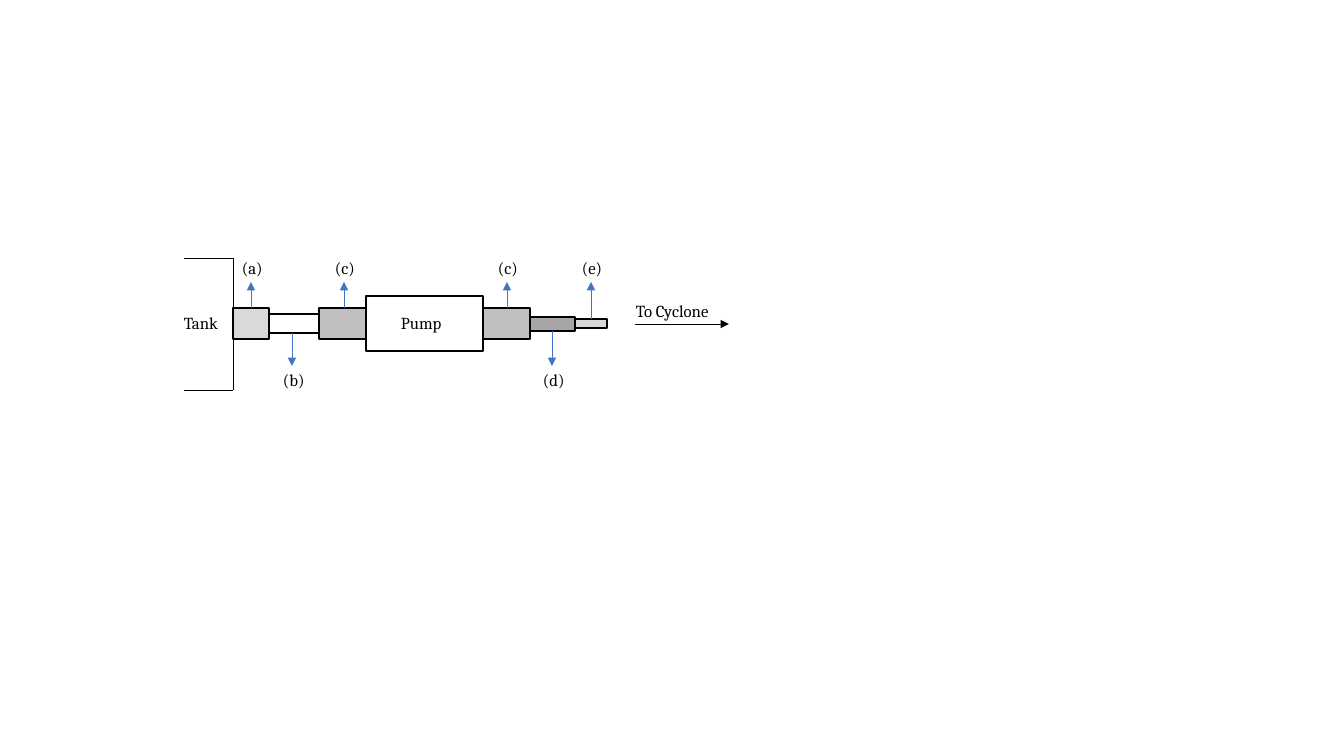
from lxml import etree
from pptx import Presentation
from pptx.dml.color import RGBColor
from pptx.enum import shapes, text
from pptx.oxml import ns
from pptx.util import Pt

BLACK = RGBColor(0x00, 0x00, 0x00)
WHITE = RGBColor(0xFF, 0xFF, 0xFF)
BLUE = RGBColor(0x44, 0x72, 0xC4)
LIGHT_GREY = RGBColor(0xD9, 0xD9, 0xD9)
MID_GREY = RGBColor(0xBF, 0xBF, 0xBF)
DARK_GREY = RGBColor(0xA6, 0xA6, 0xA6)

EMU_PER_PIXEL = 914400 / 100.8
LABEL_WIDTH, LABEL_HEIGHT = 76, 30


def emu(*pixels):
    return [round(pixel * EMU_PER_PIXEL) for pixel in pixels]


def add_line(slide, start, end, color=BLACK, arrow=False):
    connector = slide.shapes.add_connector(
        shapes.MSO_CONNECTOR.STRAIGHT, *emu(*start, *end))
    connector.line.color.rgb = color
    connector.line.width = Pt(0.5)
    properties = connector._element.spPr
    if arrow:
        line = connector.line._get_or_add_ln()
        etree.SubElement(line, ns.qn("a:tailEnd"), type="triangle")
    etree.SubElement(properties, ns.qn("a:effectLst"))


def add_label(slide, left, top, wording, width=LABEL_WIDTH):
    label = slide.shapes.add_textbox(*emu(left, top, width, LABEL_HEIGHT))
    frame = label.text_frame
    frame.word_wrap = True
    frame.auto_size = text.MSO_AUTO_SIZE.SHAPE_TO_FIT_TEXT
    run = frame.paragraphs[0].add_run()
    run.text = wording
    run.font.name = "Cambria"
    run.font.size = Pt(12)
    run.font.color.rgb = BLACK


def add_block(slide, left, top, width, height, fill):
    block = slide.shapes.add_shape(
        shapes.MSO_SHAPE.RECTANGLE, *emu(left, top, width, height))
    block.shadow.inherit = False
    if fill is None:
        block.fill.background()
    else:
        block.fill.solid()
        block.fill.fore_color.rgb = fill
    block.line.color.rgb = BLACK
    block.line.width = Pt(1)


def draw_tank(slide, left, top, width, height):
    right, bottom = left + width, top + height
    add_line(slide, (right, top), (right, bottom))
    for edge in (top, bottom):
        add_line(slide, (right, edge), (left, edge))
    add_label(slide, left - 10, top + 50, "Tank")


def draw_pipeline(slide, left, top, width, height):
    axis = top + height // 2
    bottom = top + height
    segments = [
        (36, 31, LIGHT_GREY, "(a)", 18, True),
        (50, 19, None, "(b)", 23, False),
        (47, 31, MID_GREY, "(c)", 25, True),
        (117, 55, WHITE, "Pump", None, None),
        (47, 31, MID_GREY, "(c)", 24, True),
        (45, 14, DARK_GREY, "(d)", 22, False),
        (32, 9, LIGHT_GREY, "(e)", 16, True),
    ]
    length = sum(segment[0] for segment in segments)
    start = left + width - length
    for segment_width, segment_height, fill, name, tap, upward in segments:
        segment_top = axis - (segment_height + 1) // 2
        add_block(slide, start, segment_top, segment_width, segment_height, fill)
        if tap is None:
            add_label(slide, start + 25, axis - 16, name)
        else:
            x = start + tap
            base = segment_top if upward else segment_top + segment_height
            tip = top + 29 if upward else bottom - 29
            label_top = top if upward else bottom - LABEL_HEIGHT
            add_line(slide, (x, base), (x, tip), BLUE, arrow=True)
            add_label(slide, x - 19, label_top, name)
        start += segment_width


def draw_outlet(slide, left, top, width, height):
    bottom = top + height
    add_label(slide, left - 9, top, "To Cyclone", 155)
    add_line(slide, (left, bottom), (left + width, bottom), arrow=True)


presentation = Presentation()
presentation.slide_width, presentation.slide_height = emu(1344, 756)
slide = presentation.slides.add_slide(presentation.slide_layouts[6])
draw_tank(slide, 184, 258, 49, 132)
draw_pipeline(slide, 233, 253, 374, 136 + 6)
draw_outlet(slide, 635, 296, 94, 28)
presentation.save("out.pptx")
